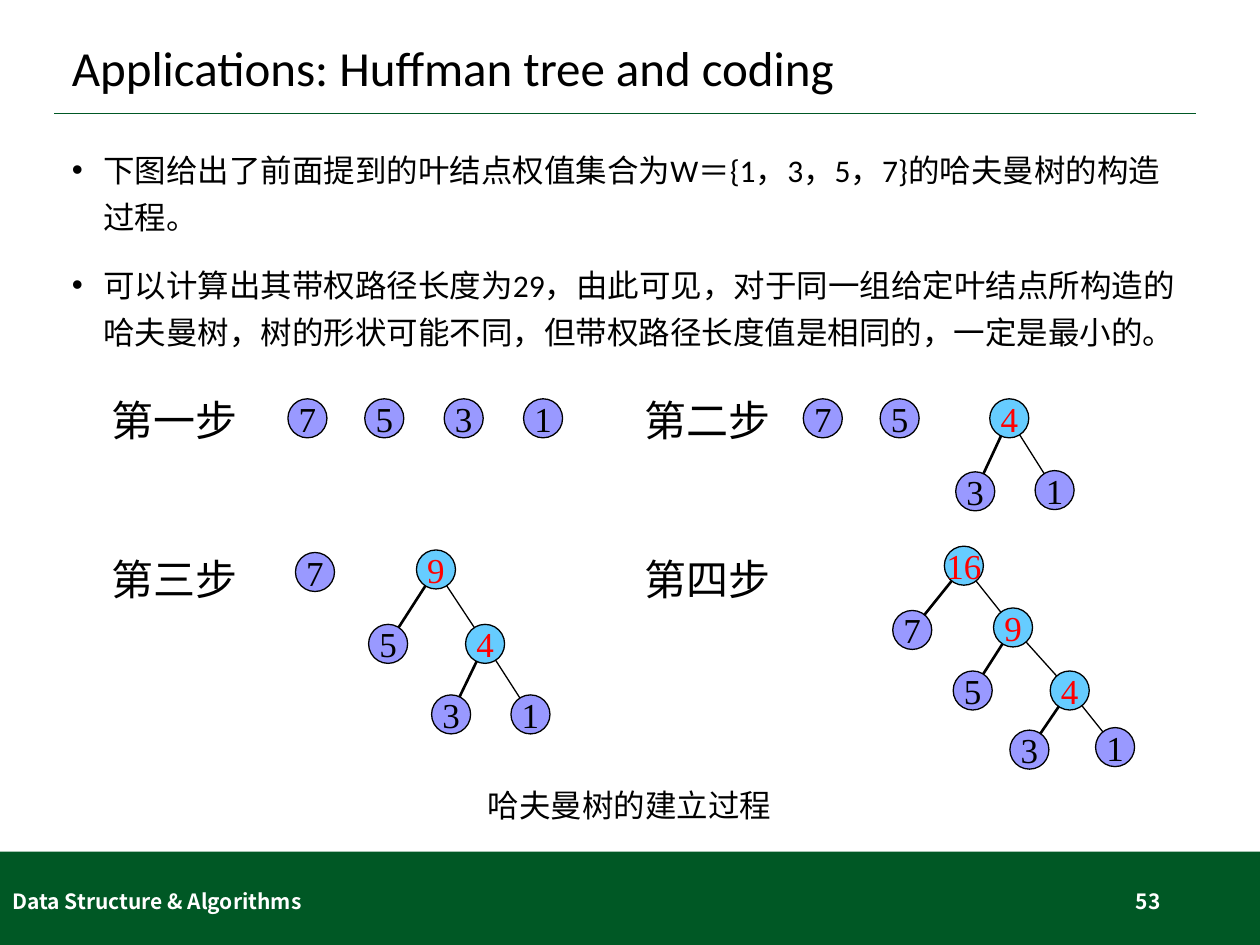
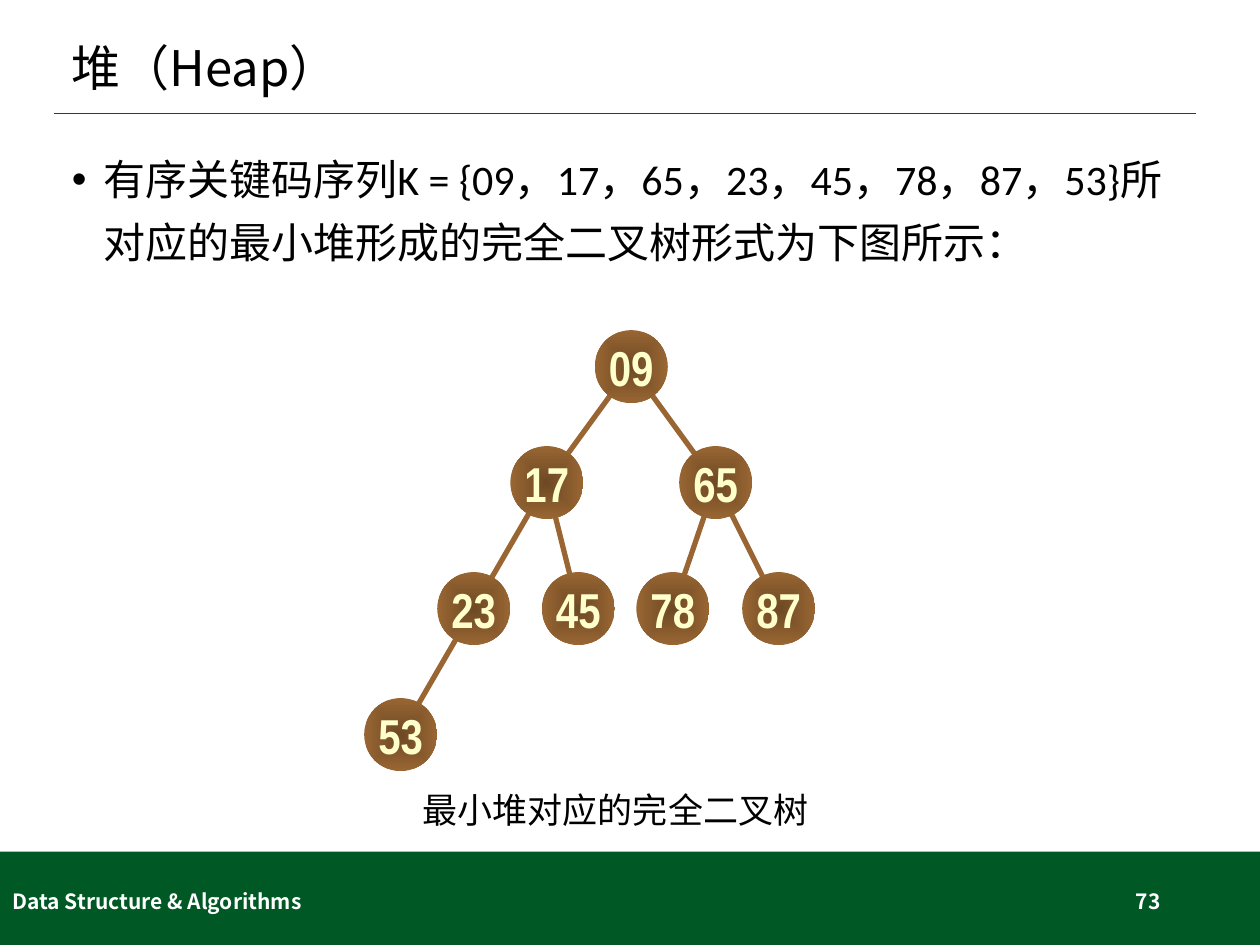
"""Build two data-structure slides: Huffman tree construction and a minimum heap."""
from lxml.etree import SubElement
from pptx import Presentation
from pptx.dml.color import RGBColor
from pptx.enum.shapes import MSO_CONNECTOR as Connector, MSO_SHAPE as Shape
from pptx.enum.text import MSO_ANCHOR as Anchor, MSO_AUTO_SIZE as AutoSize, PP_ALIGN as Align
from pptx.oxml.ns import qn
from pptx.util import Inches, Pt

WIDTH, HEIGHT = 10, 7.5
COLORS = {
    "green": "005825", "black": "000000", "white": "FFFFFF", "red": "FF0000",
    "leaf": "9999FF", "merged": "66CCFF",
    "brown": "996633", "dark brown": "6D4924", "cream": "FFFFCC",
}
CJK, LATIN, SERIF, NARROW = "Noto Sans CJK SC", "Calibri", "Times New Roman", "Arial Narrow"
FOOTER = "Data Structure & Algorithms"
TITLE_BOX = (0.47, 0.23, 9.06, 0.66)
BODY_BOX = (0.47, 1.07, 9.06, 5.54)
BAND_TOP = 6.76

HUFFMAN = {
    "title": "Applications: Huffman tree and coding", "title font": LATIN, "number": "53",
    "bullets": [
        "下图给出了前面提到的叶结点权值集合为W＝{1，3，5，7}的哈夫曼树的构造过程。",
        "可以计算出其带权路径长度为29，由此可见，对于同一组给定叶结点所构造的哈夫曼树，"
        "树的形状可能不同，但带权路径长度值是相同的，一定是最小的。",
    ],
    "bullet size": 18, "gap": 12,
    "caption": "哈夫曼树的建立过程", "caption box": (3.73, 6.19, 2.53, 0.4),
    "caption font": LATIN, "caption size": 18,
}
HEAP = {
    "title": "堆（Heap）", "title font": CJK, "number": "73",
    "bullets": ["有序关键码序列K = {09，17，65，23，45，78，87，53}"
                "所对应的最小堆形成的完全二叉树形式为下图所示："],
    "bullet size": 24, "gap": 10,
    "caption": "最小堆对应的完全二叉树", "caption box": (3.24, 6.21, 3.29, 0.44),
    "caption font": CJK, "caption size": 20,
}

STEP_COLUMNS, STEP_ROWS = (0.78, 5.01), (3.08, 4.34)
STEPS = [
    ("第一步", {"7": (2.44, 3.32), "5": (3.05, 3.32), "3": (3.68, 3.32), "1": (4.31, 3.32)}, {}),
    ("第二步", {"7": (6.53, 3.32), "5": (7.14, 3.32), "4": (8.01, 3.32),
             "3": (7.74, 3.9), "1": (8.37, 3.89)}, {"4": "31"}),
    ("第三步", {"7": (2.5, 4.54), "9": (3.46, 4.52), "5": (3.08, 5.11), "4": (3.85, 5.11),
             "3": (3.58, 5.67), "1": (4.21, 5.67)}, {"9": "54", "4": "31"}),
    ("第四步", {"16": (7.65, 4.49), "7": (7.24, 5), "9": (8.04, 4.98), "5": (7.72, 5.48),
             "4": (8.49, 5.48), "3": (8.17, 5.95), "1": (8.85, 5.93)},
     {"16": "79", "9": "54", "4": "31"}),
]
HEAP_KEYS = ["09", "17", "65", "23", "45", "78", "87", "53"]
HEAP_LEVELS = [(2.91, [5.01]), (3.83, [4.34, 5.68]),
               (4.83, [3.76, 4.59, 5.34, 6.18]), (5.83, [3.18])]


def color(name):
    return RGBColor.from_string(COLORS[name])


def format_text(paragraph, size, font, color_name="black", bold=False):
    for run in paragraph.runs:
        run.font.size, run.font.name, run.font.bold = Pt(size), font, bold
        run.font.color.rgb = color(color_name)
        SubElement(run.font._element, qn("a:ea"), typeface=CJK)


def place(shape, box):
    shape.left, shape.top, shape.width, shape.height = map(Inches, box)


def add_text(slide, text, box, size, font, align=Align.LEFT, color_name="black",
             bold=False, wrap=False, anchor=Anchor.TOP):
    text_frame = slide.shapes.add_textbox(*map(Inches, box)).text_frame
    text_frame.text, text_frame.word_wrap = text, wrap
    text_frame.vertical_anchor = anchor
    paragraph = text_frame.paragraphs[0]
    paragraph.alignment = align
    format_text(paragraph, size, font, color_name, bold)


def add_line(slide, start, end, color_name, width):
    line = slide.shapes.add_connector(Connector.STRAIGHT, *map(Inches, (*start, *end)))
    line.line.color.rgb, line.line.width = color(color_name), Pt(width)
    SubElement(line.element.spPr, qn("a:effectLst"))
    return line


def add_node(slide, text, center, diameter, size, font, text_color, bold=False):
    left, top = (value - diameter / 2 for value in center)
    node = slide.shapes.add_shape(Shape.OVAL, *map(Inches, (left, top, diameter, diameter)))
    node.shadow.inherit = False
    text_frame = node.text_frame
    text_frame.text, text_frame.word_wrap = text, False
    text_frame.vertical_anchor = Anchor.MIDDLE
    text_frame.margin_left = text_frame.margin_right = 0
    text_frame.margin_top = text_frame.margin_bottom = 0
    text_frame.paragraphs[0].alignment = Align.CENTER
    format_text(text_frame.paragraphs[0], size, font, text_color, bold)
    return node


def fill_radially(shape, inner, outer):
    shape.fill.gradient()
    for stop, name in zip(shape.fill.gradient_stops, (inner, outer)):
        stop.color.rgb = color(name)
    gradient = shape.element.spPr.find(qn("a:gradFill"))
    gradient.remove(gradient.find(qn("a:lin")))
    radial = SubElement(gradient, qn("a:path"), path="shape")
    SubElement(radial, qn("a:fillToRect"), l="50000", t="50000", r="50000", b="50000")


def decorate_layout(layout, slide):
    band = slide.shapes.add_shape(
        Shape.RECTANGLE, *map(Inches, (0, BAND_TOP, WIDTH, HEIGHT - BAND_TOP)))
    band.shadow.inherit = False
    band.fill.solid()
    band.fill.fore_color.rgb = color("green")
    band.line.fill.background()
    rule = add_line(slide, (0.43, 0.9), (9.49, 0.9), "green", 1)
    for shape in (band, rule):
        layout.element.cSld.spTree.append(shape.element)


def add_slide(presentation, layout, content):
    slide = presentation.slides.add_slide(layout)
    title, body = slide.shapes.title, slide.placeholders[1]
    title.text_frame.text = content["title"]
    title.text_frame.vertical_anchor = Anchor.MIDDLE
    heading = title.text_frame.paragraphs[0]
    heading.alignment, heading.line_spacing = Align.LEFT, 0.9
    format_text(heading, 28, content["title font"])

    body.text_frame.text = "\n".join(content["bullets"])
    for frame in (title.text_frame, body.text_frame):
        frame.auto_size = AutoSize.NONE
    for index, paragraph in enumerate(body.text_frame.paragraphs):
        properties = paragraph._p.get_or_add_pPr()
        properties.set("marL", str(Inches(0.25)))
        properties.set("indent", str(-Inches(0.25)))
        paragraph.line_spacing = 1.25
        paragraph.space_before = Pt(content["gap"] if index else 0)
        SubElement(properties, qn("a:buFont"), typeface="Arial")
        SubElement(properties, qn("a:buChar"), char="•")
        format_text(paragraph, content["bullet size"], LATIN)

    footers = [(FOOTER, 0, 3.38, Align.LEFT), (content["number"], 7.06, 2.25, Align.RIGHT)]
    for text, left, width, align in footers:
        add_text(slide, text, (left, 6.95, width, 0.4), 12, CJK, align, "white",
                 bold=True, wrap=True, anchor=Anchor.MIDDLE)
    add_text(slide, content["caption"], content["caption box"], content["caption size"],
             content["caption font"], Align.CENTER)
    return slide


def draw_huffman_steps(slide):
    for index, (label, centers, children) in enumerate(STEPS):
        row, column = divmod(index, 2)
        add_text(slide, label, (STEP_COLUMNS[column], STEP_ROWS[row], 1.21, 0.5),
                 24, SERIF, Align.CENTER)
        for parent, pair in children.items():
            for child, width in zip(pair, (1.5, 0.75)):
                add_line(slide, centers[parent], centers[child], "black", width)
        for weight, center in centers.items():
            fill, text_color = ("merged", "red") if weight in children else ("leaf", "black")
            node = add_node(slide, weight, center, 0.31, 20, SERIF, text_color)
            node.fill.solid()
            node.fill.fore_color.rgb = color(fill)
            node.line.color.rgb, node.line.width = color("black"), Pt(0.75)


def draw_heap(slide):
    centers = [(x, y) for y, columns in HEAP_LEVELS for x in columns]
    for index in range(1, len(centers)):
        add_line(slide, centers[(index - 1) // 2], centers[index], "brown", 3)
    for key, center in zip(HEAP_KEYS, centers):
        node = add_node(slide, key, center, 0.58, 28, NARROW, "cream", bold=True)
        fill_radially(node, "dark brown", "brown")
        node.line.fill.background()


def main():
    presentation = Presentation()
    presentation.slide_width, presentation.slide_height = Inches(WIDTH), Inches(HEIGHT)
    layout = presentation.slide_layouts[1]
    for placeholder, box in zip(layout.placeholders, (TITLE_BOX, BODY_BOX)):
        place(placeholder, box)
    huffman_slide = add_slide(presentation, layout, HUFFMAN)
    decorate_layout(layout, huffman_slide)
    draw_huffman_steps(huffman_slide)
    draw_heap(add_slide(presentation, layout, HEAP))
    presentation.save("out.pptx")


if __name__ == "__main__":
    main()
